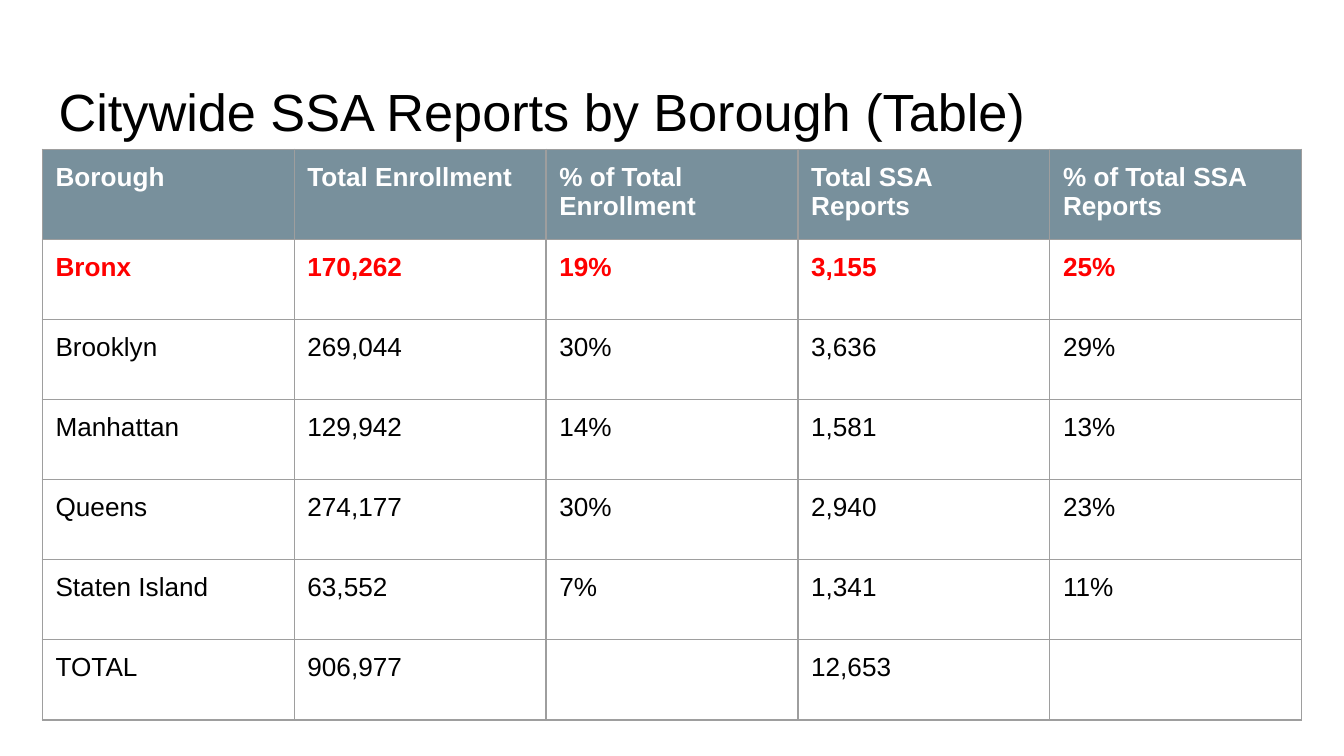
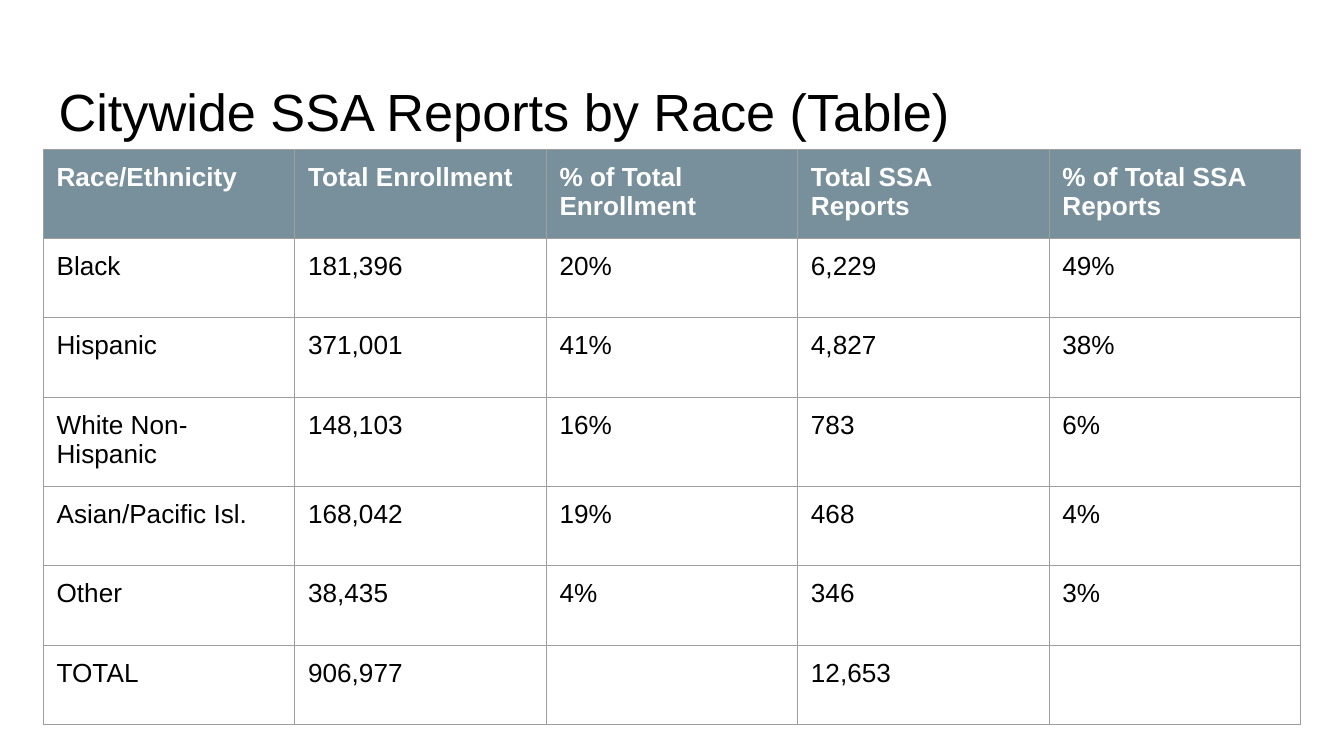
from dataclasses import dataclass
from typing import NamedTuple

from lxml import etree
from pptx import Presentation
from pptx.dml.color import RGBColor
from pptx.enum.text import MSO_ANCHOR
from pptx.oxml.ns import qn
from pptx.util import Cm, Pt

TOP = MSO_ANCHOR.TOP
BLANK = 6


@dataclass(frozen=True)
class Theme:
    font: str = "Arial"
    ink: str = "000000"
    light: str = "FFFFFF"
    alert: str = "FF0000"
    band: str = "78909C"
    rule: str = "9E9E9E"
    title: float = 28
    body: float = 14
    line: float = 0.75
    pad: float = 0.25


class Box(NamedTuple):
    left: float
    top: float
    width: float
    height: float

    def emu(self):
        return [Cm(side) for side in self]


THEME = Theme()
TITLE_BOX = Box(0.86, 1.24, 23.67, 1.6)
HEADS = ["Total Enrollment", "% of Total Enrollment",
         "Total SSA Reports", "% of Total SSA Reports"]
TOTAL = ["TOTAL", "906,977", "", "12,653", ""]
BOROUGHS = [
    ["Borough", *HEADS],
    ["Bronx", "170,262", "19%", "3,155", "25%"],
    ["Brooklyn", "269,044", "30%", "3,636", "29%"],
    ["Manhattan", "129,942", "14%", "1,581", "13%"],
    ["Queens", "274,177", "30%", "2,940", "23%"],
    ["Staten Island", "63,552", "7%", "1,341", "11%"],
    TOTAL,
]
RACES = [
    ["Race/Ethnicity", *HEADS],
    ["Black", "181,396", "20%", "6,229", "49%"],
    ["Hispanic", "371,001", "41%", "4,827", "38%"],
    ["White Non-Hispanic", "148,103", "16%", "783", "6%"],
    ["Asian/Pacific Isl.", "168,042", "19%", "468", "4%"],
    ["Other", "38,435", "4%", "346", "3%"],
    TOTAL,
]


def style(frame, size, color, bold=False):
    for para in frame.paragraphs:
        for run in para.runs:
            font = run.font
            font.name = THEME.font
            font.size = Pt(size)
            font.bold = bold
            font.color.rgb = RGBColor.from_string(color)


def inset(item):
    item.margin_left = item.margin_right = Cm(THEME.pad)
    item.margin_top = item.margin_bottom = Cm(THEME.pad)
    item.vertical_anchor = TOP


def border(cell):
    props = cell._tc.get_or_add_tcPr()
    for side in ("lnL", "lnR", "lnT", "lnB"):
        line = etree.SubElement(props, qn("a:" + side), w=str(Pt(THEME.line)))
        fill = etree.SubElement(line, qn("a:solidFill"))
        etree.SubElement(fill, qn("a:srgbClr"), val=THEME.rule)


def add_title(slide, box, text):
    frame = slide.shapes.add_textbox(*box.emu()).text_frame
    frame.word_wrap = True
    inset(frame)
    frame.text = text
    style(frame, THEME.title, THEME.ink)


def fill_cell(cell, text, color, bold, band):
    inset(cell)
    border(cell)
    if band:
        cell.fill.solid()
        cell.fill.fore_color.rgb = RGBColor.from_string(THEME.band)
    else:
        cell.fill.background()
    cell.text_frame.text = text
    style(cell.text_frame, THEME.body, color, bold)


def add_grid(slide, box, data, tall, height, alert=None):
    table = slide.shapes.add_table(len(data), len(data[0]), *box.emu()).table
    table.first_row = table.horz_banding = False
    for col in table.columns:
        col.width = Cm(box.width / len(data[0]))
    low = (box.height - height * len(tall)) / (len(data) - len(tall))
    for i, texts in enumerate(data):
        table.rows[i].height = Cm(height if i in tall else low)
        head, hot = i == 0, i == alert
        color = THEME.light if head else THEME.alert if hot else THEME.ink
        for j, text in enumerate(texts):
            fill_cell(table.cell(i, j), text, color, head or hot, head)


def add_page(deck, title, box, data, tall, height, alert=None):
    slide = deck.slides.add_slide(deck.slide_layouts[BLANK])
    add_title(slide, TITLE_BOX, title)
    add_grid(slide, box, data, tall, height, alert)


def main():
    deck = Presentation()
    deck.slide_width, deck.slide_height = Cm(25.4), Cm(14.29)
    add_page(deck, "Citywide SSA Reports by Borough (Table)",
             Box(0.8, 2.82, 23.8, 10.79), BOROUGHS, [0], 1.71, alert=1)
    add_page(deck, "Citywide SSA Reports by Race (Table)",
             Box(0.82, 2.82, 23.76, 10.74), RACES, [0, 3], 1.62)
    deck.save("out.pptx")


if __name__ == "__main__":
    main()
